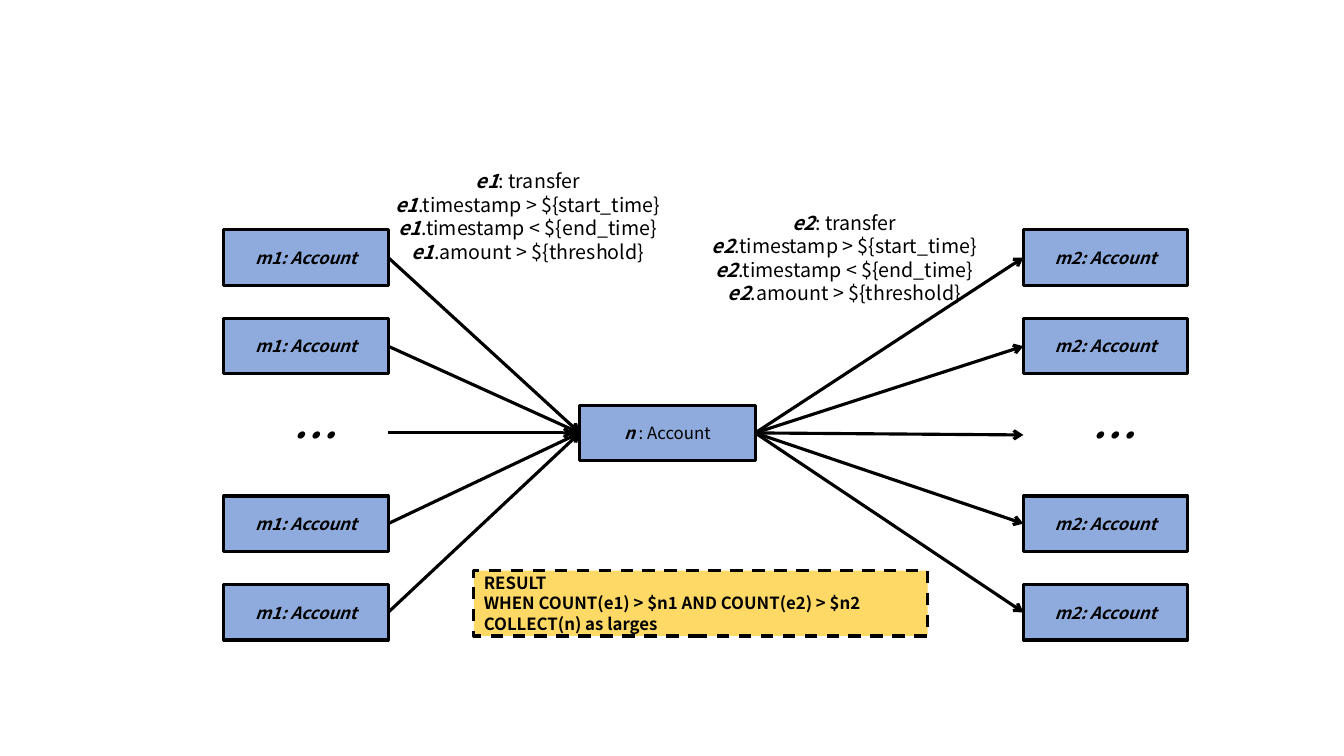
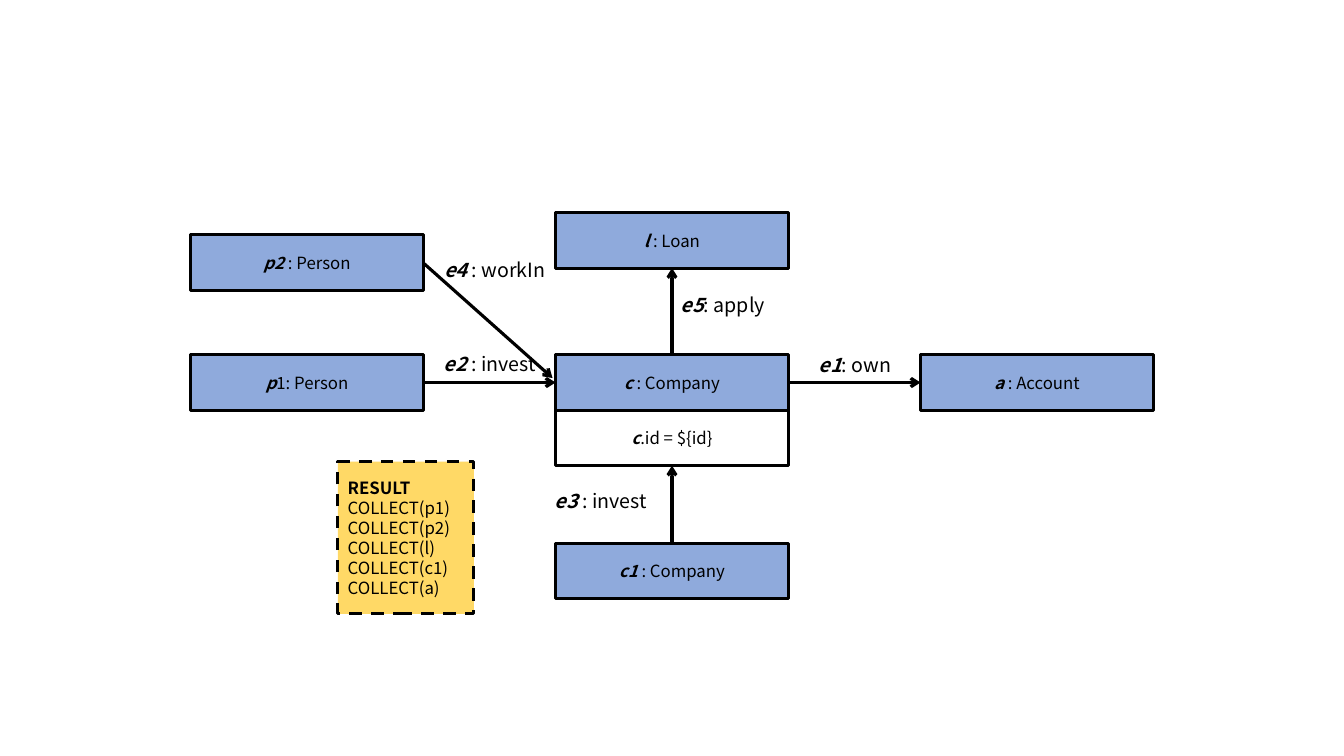
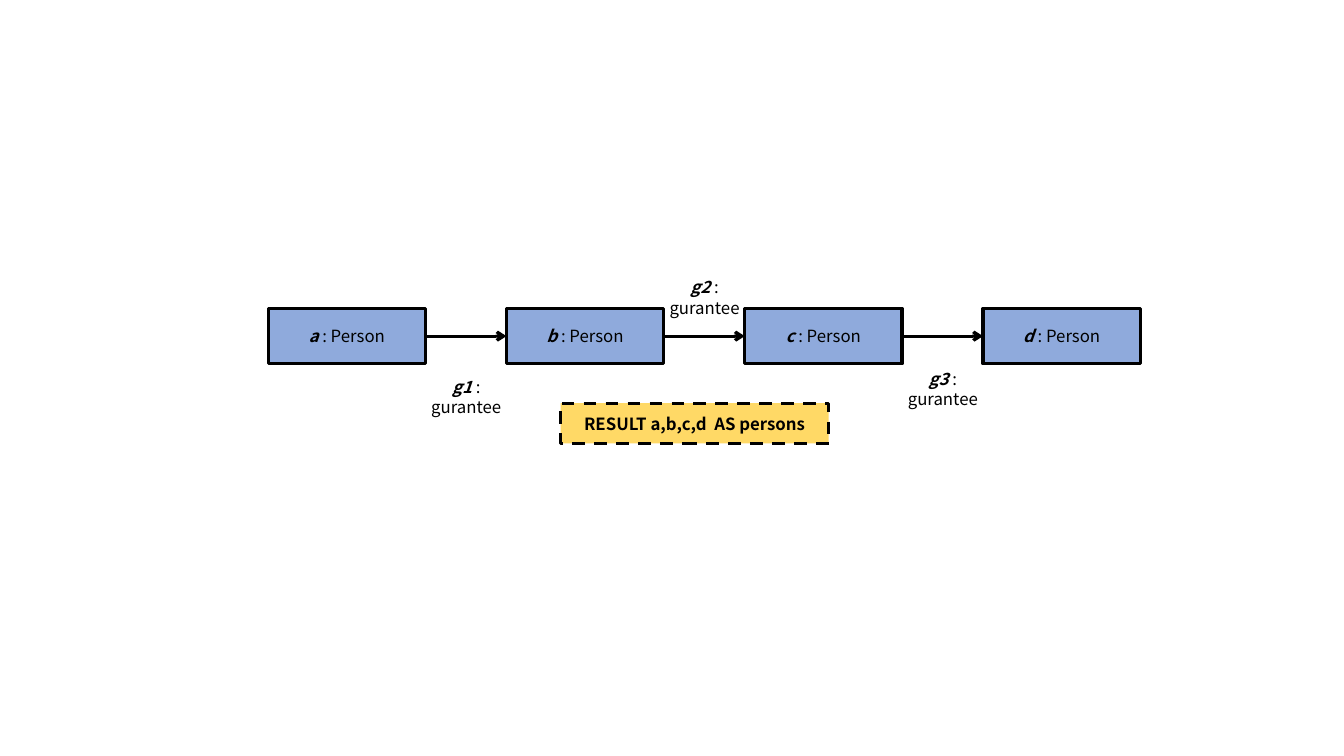
import dataclasses

import pptx
import pptx.dml.color
import pptx.enum.dml
import pptx.enum.shapes
import pptx.enum.text
import pptx.oxml.ns
import pptx.util
from lxml import etree

Inches = pptx.util.Inches
Pt = pptx.util.Pt
qn = pptx.oxml.ns.qn
ALIGN = pptx.enum.text.PP_ALIGN
ANCHOR = pptx.enum.text.MSO_ANCHOR


@dataclasses.dataclass(frozen=True)
class Theme:
    font: str = "Noto Sans CJK SC"
    ink: str = "000000"
    node: str = "8FAADC"
    result: str = "FFD966"
    body: int = 12
    edge: int = 14
    dots: int = 32
    line: float = 2.25
    leading: float = 1.2
    node_height: float = 0.55


@dataclasses.dataclass(frozen=True)
class Box:
    left: float
    top: float
    width: float
    height: float

    @property
    def middle(self):
        return self.top + self.height / 2

    def inner(self, left, top, width, height):
        """A box whose corner is measured from the corner of this one."""
        return Box(self.left + left, self.top + top, width, height)

    def lengths(self):
        return [Inches(value) for value in dataclasses.astuple(self)]


THEME = Theme()
TOP, LEFT, BOTTOM, RIGHT = range(4)  # connection sites of a rectangle


def colour(value):
    return pptx.dml.color.RGBColor.from_string(value)


def add_span(para, text, *, size=THEME.body, bold=False, italic=False):
    span = para.add_run()
    span.text = text
    font = span.font
    font.name, font.size = THEME.font, Pt(size)
    font.bold, font.italic = bold, italic
    font.color.rgb = colour(THEME.ink)
    east_asian = etree.SubElement(font._element, qn("a:ea"))
    east_asian.set("typeface", THEME.font)


def write(shape, lines, *, size=THEME.body, align=ALIGN.CENTER, anchor=ANCHOR.MIDDLE,
          lead_italic=True):
    """Fill a shape with (bold lead, plain rest) lines."""
    frame = shape.text_frame
    frame.word_wrap = True
    frame.vertical_anchor = anchor
    for index, (lead, rest) in enumerate(lines):
        para = frame.add_paragraph() if index else frame.paragraphs[0]
        para.alignment = align
        para.line_spacing = Pt(size * THEME.leading)
        if lead:
            add_span(para, lead, size=size, bold=True, italic=lead_italic)
        if rest:
            add_span(para, rest, size=size)


def add_label(page, box, lines, *, size=THEME.edge):
    label = page.shapes.add_textbox(*box.lengths())
    write(label, lines, size=size, anchor=ANCHOR.TOP)


def add_rectangle(page, box, fill):
    shape = page.shapes.add_shape(pptx.enum.shapes.MSO_SHAPE.RECTANGLE, *box.lengths())
    shape.shadow.inherit = False
    if fill:
        shape.fill.solid()
        shape.fill.fore_color.rgb = colour(fill)
    else:
        shape.fill.background()
    shape.line.color.rgb = colour(THEME.ink)
    shape.line.width = Pt(THEME.line)
    return shape


def add_node(page, box, lead, rest="", *, fill=THEME.node):
    node = add_rectangle(page, box, fill)
    write(node, [(lead, rest)])
    return node


def add_result(page, box, lines, *, align=ALIGN.LEFT):
    result = add_rectangle(page, box, THEME.result)
    result.line.dash_style = pptx.enum.dml.MSO_LINE.DASH
    write(result, lines, align=align, lead_italic=False)


def add_arrow(page, start=(0, 0), end=(0, 0)):
    points = [Inches(value) for value in (*start, *end)]
    arrow = page.shapes.add_connector(pptx.enum.shapes.MSO_CONNECTOR.STRAIGHT, *points)
    arrow.line.color.rgb = colour(THEME.ink)
    arrow.line.width = Pt(THEME.line)
    head = etree.SubElement(arrow.line._get_or_add_ln(), qn("a:tailEnd"))
    head.set("type", "arrow")
    etree.SubElement(arrow._element.spPr, qn("a:effectLst"))
    return arrow


def link(page, source, target, *, leave=RIGHT, enter=LEFT):
    """Draw an arrow that stays attached to both nodes."""
    arrow = add_arrow(page)
    arrow.begin_connect(source, leave)
    arrow.end_connect(target, enter)


def add_account_column(page, box, name):
    """Five equal rows, the third one an ellipsis; returns the nodes."""
    rows, hidden = 5, 2
    pitch = (box.height - THEME.node_height) / (rows - 1)
    nodes = []
    for row in range(rows):
        cell = box.inner(0, row * pitch, box.width, THEME.node_height)
        if row == hidden:
            dots = Box(cell.left + (cell.width - 0.55) / 2, cell.middle - 0.32, 0.55, 0.64)
            add_label(page, dots, [("…", "")], size=THEME.dots)
        else:
            nodes.append(add_node(page, cell, f"{name}: Account"))
    return nodes


def add_transfer_label(page, box, edge):
    rests = [": transfer", ".timestamp > ${start_time}",
             ".timestamp < ${end_time}", ".amount > ${threshold}"]
    add_label(page, box, [(edge, rest) for rest in rests])


def build_transfers(page, box):
    sources = box.inner(0, 0.65, 1.63, 4.07)
    targets = box.inner(7.93, 0.65, 1.63, 4.07)
    centre = box.inner(3.53, 2.39, 1.74, THEME.node_height)
    hub = add_node(page, centre, "n ", ": Account")
    for node in add_account_column(page, sources, "m1"):
        link(page, node, hub)
    for node in add_account_column(page, targets, "m2"):
        link(page, hub, node)
    add_arrow(page, (sources.left + sources.width, centre.middle),
              (centre.left - 0.06, centre.middle))
    add_arrow(page, (centre.left + centre.width, centre.middle),
              (targets.left, targets.middle))
    add_transfer_label(page, box.inner(1.51, 0, 3.01, 1.04), "e1")
    add_transfer_label(page, box.inner(4.65, 0.41, 3.01, 1.04), "e2")
    add_result(page, box.inner(2.48, 4.03, 4.5, 0.65), [
        ("RESULT", ""),
        ("WHEN COUNT(e1) > $n1 AND COUNT(e2) > $n2", ""),
        ("COLLECT(n) as larges", ""),
    ])


def build_company(page, box):
    width, height = 2.31, THEME.node_height
    column = (box.width - width) / 2
    specification = {
        "c": (column, 1.41, "c ", ": Company", THEME.node),
        "id": (column, 1.41 + height, "c", ".id = ${id}", None),
        "p1": (0, 1.41, "p", "1: Person", THEME.node),
        "p2": (0, 0.22, "p2 ", ": Person", THEME.node),
        "a": (2 * column, 1.41, "a ", ": Account", THEME.node),
        "c1": (column, 3.28, "c1 ", ": Company", THEME.node),
        "l": (column, 0, "l ", ": Loan", THEME.node),
    }
    nodes = {
        key: add_node(page, box.inner(left, top, width, height), lead, rest, fill=fill)
        for key, (left, top, lead, rest, fill) in specification.items()
    }
    link(page, nodes["c"], nodes["a"])
    link(page, nodes["p1"], nodes["c"])
    link(page, nodes["c1"], nodes["id"], leave=TOP, enter=BOTTOM)
    link(page, nodes["c"], nodes["l"], leave=TOP, enter=BOTTOM)
    add_arrow(page, (box.left + width, box.top + 0.5), (box.left + 3.59, box.top + 1.64))

    for left, top, lead, rest in [
        (5.91, 1.34, "e1", ": own"),
        (2.29, 1.33, "e2 ", ": invest"),
        (3.39, 2.69, "e3 ", ": invest"),
        (2.34, 0.4, "e4 ", ": workIn"),
        (4.6, 0.75, "e5", ": apply"),
    ]:
        add_label(page, box.inner(left, top, 1.36, 0.34), [(lead, rest)])

    collected = [("", f"COLLECT({name})") for name in ("p1", "p2", "l", "c1", "a")]
    add_result(page, box.inner(1.46, 2.47, 1.35, 1.51), [("RESULT", ""), *collected])


def build_guarantees(page, box):
    names, width = "abcd", 1.56
    pitch = (box.width - width) / (len(names) - 1)
    people = [
        add_node(page, box.inner(index * pitch, 0.36, width, THEME.node_height),
                 f"{name} ", ": Person")
        for index, name in enumerate(names)
    ]
    for source, target in zip(people, people[1:]):
        link(page, source, target)
    for index, top in enumerate((0.99, 0, 0.91)):
        label = box.inner(1.36 + index * pitch, top, 1.21, 0.3)
        add_label(page, label, [(f"g{index + 1} ", ": gurantee")], size=THEME.body)
    add_result(page, box.inner(2.9, 1.3, 2.66, 0.4),
               [("RESULT a,b,c,d  AS persons", "")], align=ALIGN.CENTER)


def main():
    deck = pptx.Presentation()
    deck.slide_width, deck.slide_height = Inches(13.33), Inches(7.5)
    blank = deck.slide_layouts[6]
    for build, box in [
        (build_transfers, Box(2.22, 1.63, 9.56, 4.72)),
        (build_company, Box(1.89, 2.11, 9.55, 3.98)),
        (build_guarantees, Box(2.66, 2.7, 8.65, 1.7)),
    ]:
        build(deck.slides.add_slide(blank), box)
    deck.save("out.pptx")


if __name__ == "__main__":
    main()
